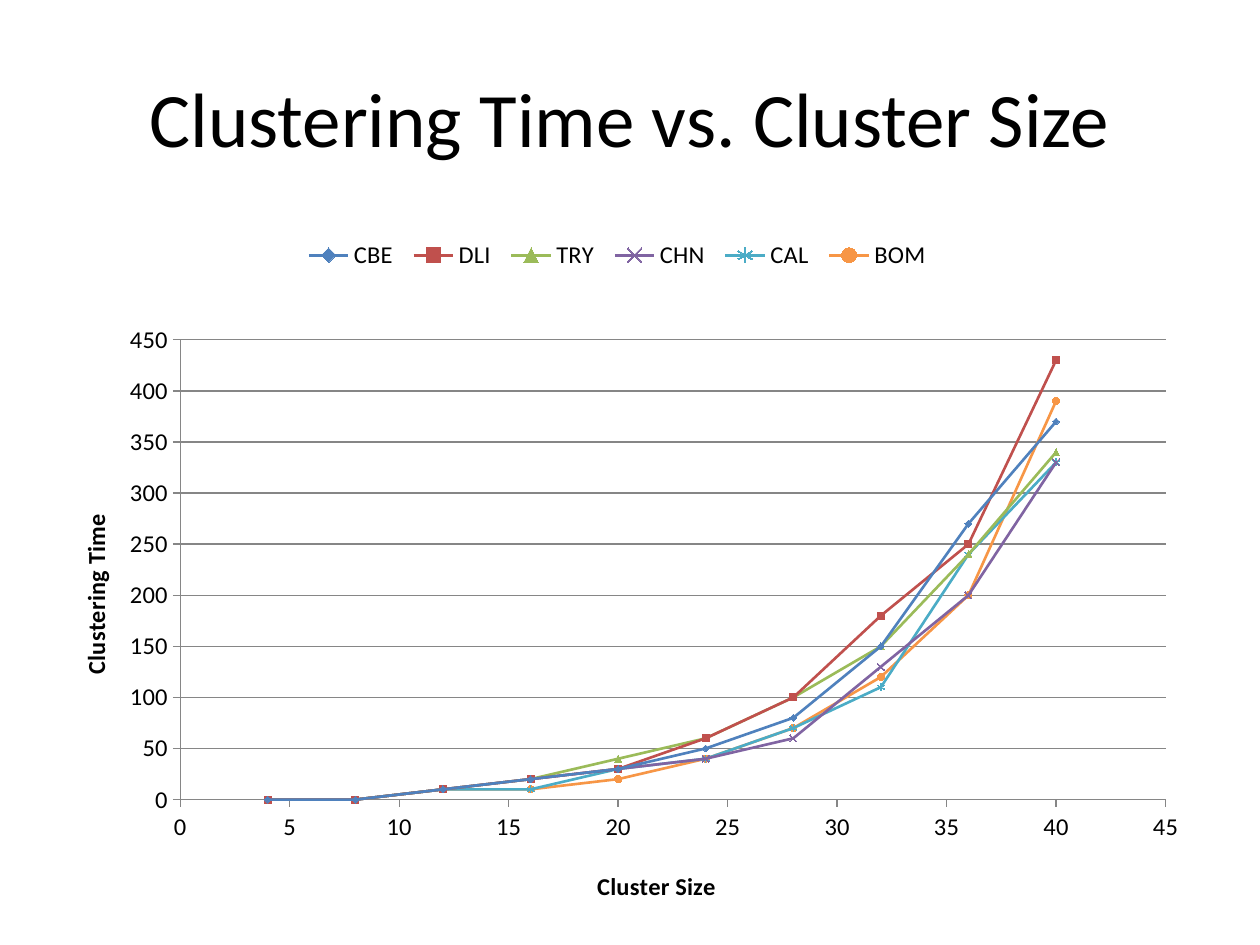
from lxml import etree
from pptx import Presentation
from pptx.chart.data import XyChartData
from pptx.dml.color import RGBColor
from pptx.enum import chart as c, text
from pptx.oxml.ns import qn
from pptx.util import Inches, Pt

BLACK = RGBColor(0, 0, 0)
GRAY = RGBColor(0x86, 0x86, 0x86)
FONT = "Calibri"
CLUSTER_SIZES = range(4, 41, 4)
MARKER = c.XL_MARKER_STYLE
CITIES = [
    ("CBE", [0, 0, 10, 20, 30, 50, 80, 150, 270, 370], "4F81BD", MARKER.DIAMOND),
    ("DLI", [0, 0, 10, 20, 30, 60, 100, 180, 250, 430], "C0504D", MARKER.SQUARE),
    ("TRY", [0, 0, 10, 20, 40, 60, 100, 150, 240, 340], "9BBB59", MARKER.TRIANGLE),
    ("CHN", [0, 0, 10, 20, 30, 40, 60, 130, 200, 330], "8064A2", MARKER.X),
    ("CAL", [0, 0, 10, 10, 30, 40, 70, 110, 240, 330], "4BACC6", MARKER.STAR),
    ("BOM", [0, 0, 10, 10, 20, 40, 70, 120, 200, 390], "F79646", MARKER.CIRCLE),
]


def place(element, index, **settings):
    """Give a chart part a manual layout, in fractions of the chart."""
    for old in element.findall(qn("c:layout")):
        element.remove(old)
    layout = etree.Element(qn("c:layout"))
    manual = etree.SubElement(layout, qn("c:manualLayout"))
    for name, value in settings.items():
        etree.SubElement(manual, qn("c:" + name)).set("val", str(value))
    element.insert(index, layout)


presentation = Presentation()
presentation.slide_width, presentation.slide_height = Inches(10), Inches(7.5)
slide = presentation.slides.add_slide(presentation.slide_layouts[5])

# Title
title = slide.shapes.title
title.left, title.top = Inches(0.5), Inches(0.3)
title.width, title.height = Inches(9), Inches(1.25)
title.text_frame.text = "Clustering Time vs. Cluster Size"
title.text_frame.vertical_anchor = text.MSO_ANCHOR.MIDDLE
paragraph = title.text_frame.paragraphs[0]
paragraph.alignment = text.PP_ALIGN.CENTER
paragraph.font.size = Pt(44)
paragraph.font.name = FONT
paragraph.font.color.rgb = BLACK

# Chart data
data = XyChartData()
for name, times, _, _ in CITIES:
    series = data.add_series(name)
    for size, time in zip(CLUSTER_SIZES, times):
        series.add_data_point(size, time)
chart = slide.shapes.add_chart(
    c.XL_CHART_TYPE.XY_SCATTER_LINES,
    Inches(0), Inches(1.55), Inches(9.8), Inches(5.67), data).chart
chart.has_title = False
chart.font.size = Pt(14)
chart.font.name = FONT
chart.font.color.rgb = BLACK
chart.plots[0].vary_by_categories = False

# Series lines and markers
for series, (_, _, color, marker) in zip(chart.plots[0].series, CITIES):
    rgb = RGBColor.from_string(color)
    series.smooth = False
    series.format.line.width = Pt(1.5)
    series.format.line.color.rgb = rgb
    series.marker.style = marker
    series.marker.size = 4
    series.marker.format.line.color.rgb = rgb
    series.marker.format.fill.solid()
    series.marker.format.fill.fore_color.rgb = rgb

# Axes
for axis, label, maximum, step, x, y in [
        (chart.category_axis, "Cluster Size", 45, 5, 0.48, 0.95),
        (chart.value_axis, "Clustering Time ", 450, 50, 0.06, 0.44)]:
    axis.minimum_scale, axis.maximum_scale = 0, maximum
    axis.major_unit = step
    axis.major_tick_mark = c.XL_TICK_MARK.OUTSIDE
    axis.minor_tick_mark = c.XL_TICK_MARK.NONE
    axis.format.line.color.rgb = GRAY
    axis.has_major_gridlines = axis is chart.value_axis or label.startswith("Clustering")
    axis.axis_title.text_frame.text = label
    font = axis.axis_title.text_frame.paragraphs[0].font
    font.size, font.bold, font.name = Pt(14), True, FONT
    font.color.rgb = BLACK
    place(axis.axis_title._element, 1, xMode="edge", yMode="edge", x=x, y=y)
chart.value_axis.major_gridlines.format.line.color.rgb = GRAY

# Legend and plot area
chart.has_legend = True
chart.legend.position = c.XL_LEGEND_POSITION.TOP
chart.legend.include_in_layout = False
place(chart.legend._element, 1, xMode="edge", yMode="edge",
      x=0.24, y=0.05, w=0.52, h=0.07)
place(chart._chartSpace.chart.plotArea, 0, layoutTarget="inner",
      xMode="edge", yMode="edge", x=0.146, y=0.205, w=0.798, h=0.652)

presentation.save("out.pptx")
